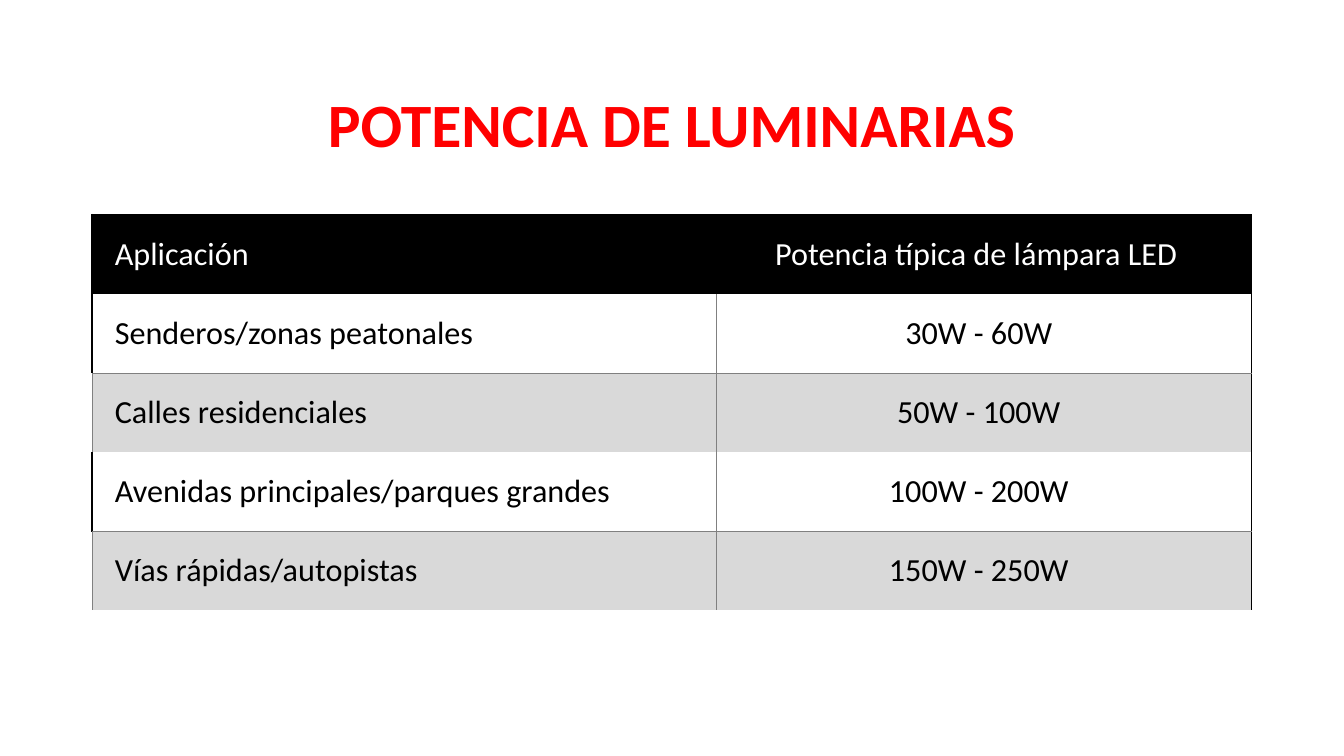
from lxml import etree
from pptx import Presentation
from pptx.dml.color import RGBColor
from pptx.enum import text
from pptx.oxml import ns
from pptx.util import Pt

PX = 6350  # EMU per px, 144 px to the inch
FONT = "Calibri"
BLACK, WHITE, GREY, BAND, RED = "000000", "FFFFFF", "808080", "D9D9D9", "FF0000"
THICK, THIN = (BLACK, 1.5), (GREY, 0.5)

ROWS = [
    ("Aplicación", "Potencia típica de lámpara LED"),
    ("Senderos/zonas peatonales", "30W - 60W"),
    ("Calles residenciales", "50W - 100W"),
    ("Avenidas principales/parques grandes", "100W - 200W"),
    ("Vías rápidas/autopistas", "150W - 250W"),
]


def px(length):
    return length * PX


def color(value):
    return RGBColor.from_string(value)


def format_font(font, size, value, bold=False):
    font.name, font.size, font.bold = FONT, Pt(size), bold
    font.color.rgb = color(value)


def add_title(slide, left, top, width, height):
    title = slide.shapes.title
    title.left, title.top, title.width, title.height = map(px, (left, top, width, height))
    frame = title.text_frame
    frame.text = "POTENCIA DE LUMINARIAS"
    frame.word_wrap = True
    frame.auto_size = text.MSO_AUTO_SIZE.NONE
    frame.vertical_anchor = text.MSO_ANCHOR.TOP
    frame.margin_top = px(1)
    paragraph = frame.paragraphs[0]
    paragraph.alignment = text.PP_ALIGN.CENTER
    paragraph.line_spacing = 0.9
    format_font(paragraph.runs[0].font, 44, RED, bold=True)


def set_borders(cell, borders):
    """Draw the given sides and clear the others."""
    properties = cell._tc.get_or_add_tcPr()
    for index, side in enumerate("LRTB"):
        line = etree.Element(ns.qn(f"a:ln{side}"))
        if side in borders:
            value, width = borders[side]
            line.set("w", str(Pt(width)))
            fill = etree.SubElement(line, ns.qn("a:solidFill"))
            etree.SubElement(fill, ns.qn("a:srgbClr"), val=value)
        else:
            etree.SubElement(line, ns.qn("a:noFill"))
        properties.insert(index, line)


def cell_borders(row, column):
    if row == 0:
        return {"T": THICK} if column else {"L": THICK, "T": THICK}
    banded = row % 2 == 0
    borders = {"T" if banded else "B": THIN}
    if column:
        return borders | {"L": THIN, "R": THICK}
    return borders | {"L": THIN if banded else THICK, "R": THIN}


def format_cell(cell, row, column):
    cell.vertical_anchor = text.MSO_ANCHOR.MIDDLE
    cell.margin_left, cell.margin_right = px(32), px(46 if row else 53)
    cell.margin_top = cell.margin_bottom = px(24)
    if row % 2:
        cell.fill.background()
    else:
        cell.fill.solid()
        cell.fill.fore_color.rgb = color(BAND if row else BLACK)
    set_borders(cell, cell_borders(row, column))
    paragraph = cell.text_frame.paragraphs[0]
    paragraph.alignment = text.PP_ALIGN.CENTER if column else text.PP_ALIGN.LEFT
    format_font(paragraph.runs[0].font, 23, BLACK if row else WHITE)


def add_power_table(slide, left, top, width, height):
    box = map(px, (left, top, width, height))
    table = slide.shapes.add_table(len(ROWS), len(ROWS[0]), *box).table
    application_width = 891
    table.columns[0].width = px(application_width)
    table.columns[1].width = px(width - application_width)
    for row, values in enumerate(ROWS):
        for column, value in enumerate(values):
            cell = table.cell(row, column)
            cell.text = value
            format_cell(cell, row, column)


def main():
    presentation = Presentation()
    presentation.slide_width, presentation.slide_height = px(1920), px(1080)
    slide = presentation.slides.add_slide(presentation.slide_layouts[5])
    add_title(slide, 132, 134, 1656, 209)
    add_power_table(slide, 132, 307, 1656, 113 * len(ROWS))
    presentation.save("out.pptx")


if __name__ == "__main__":
    main()
